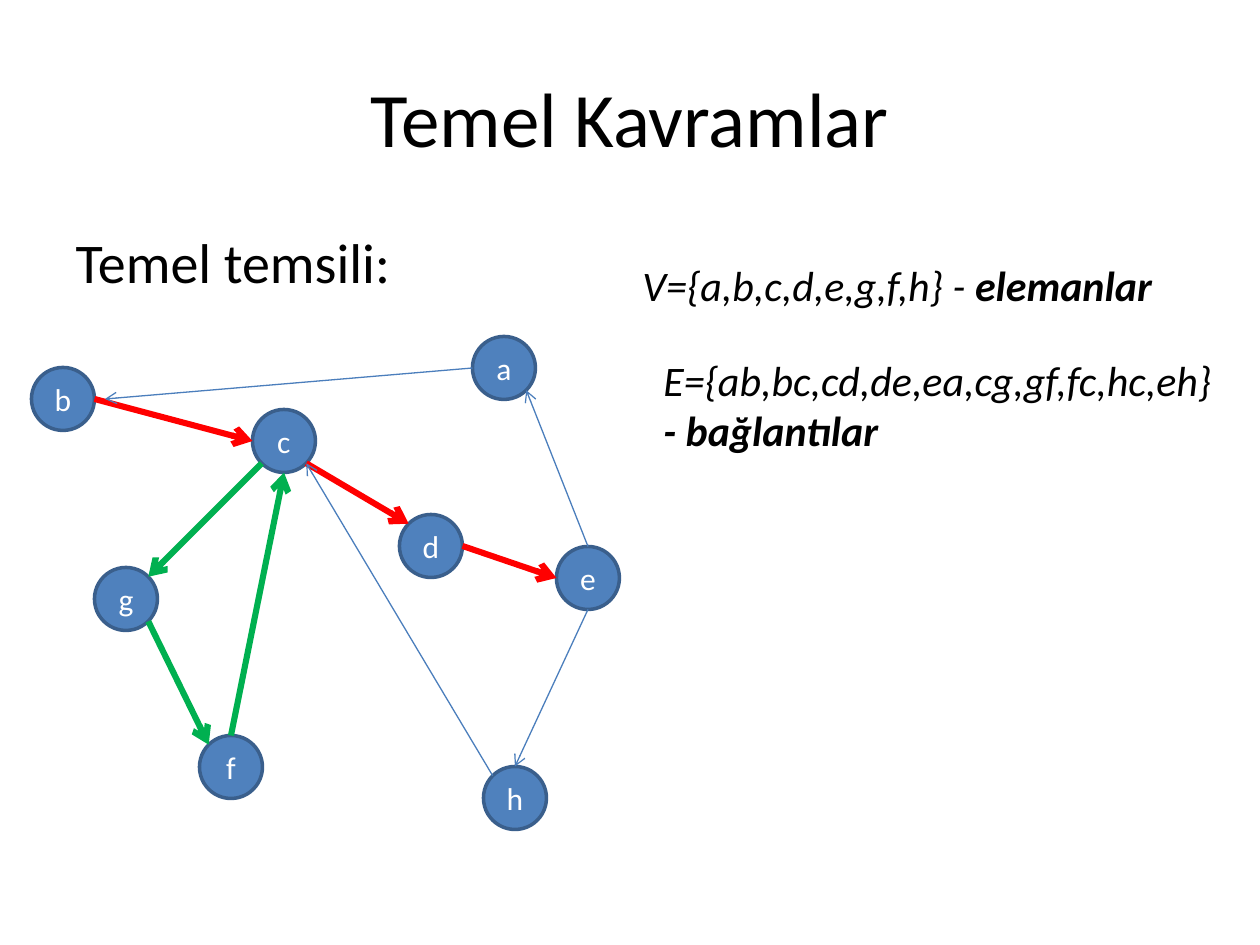
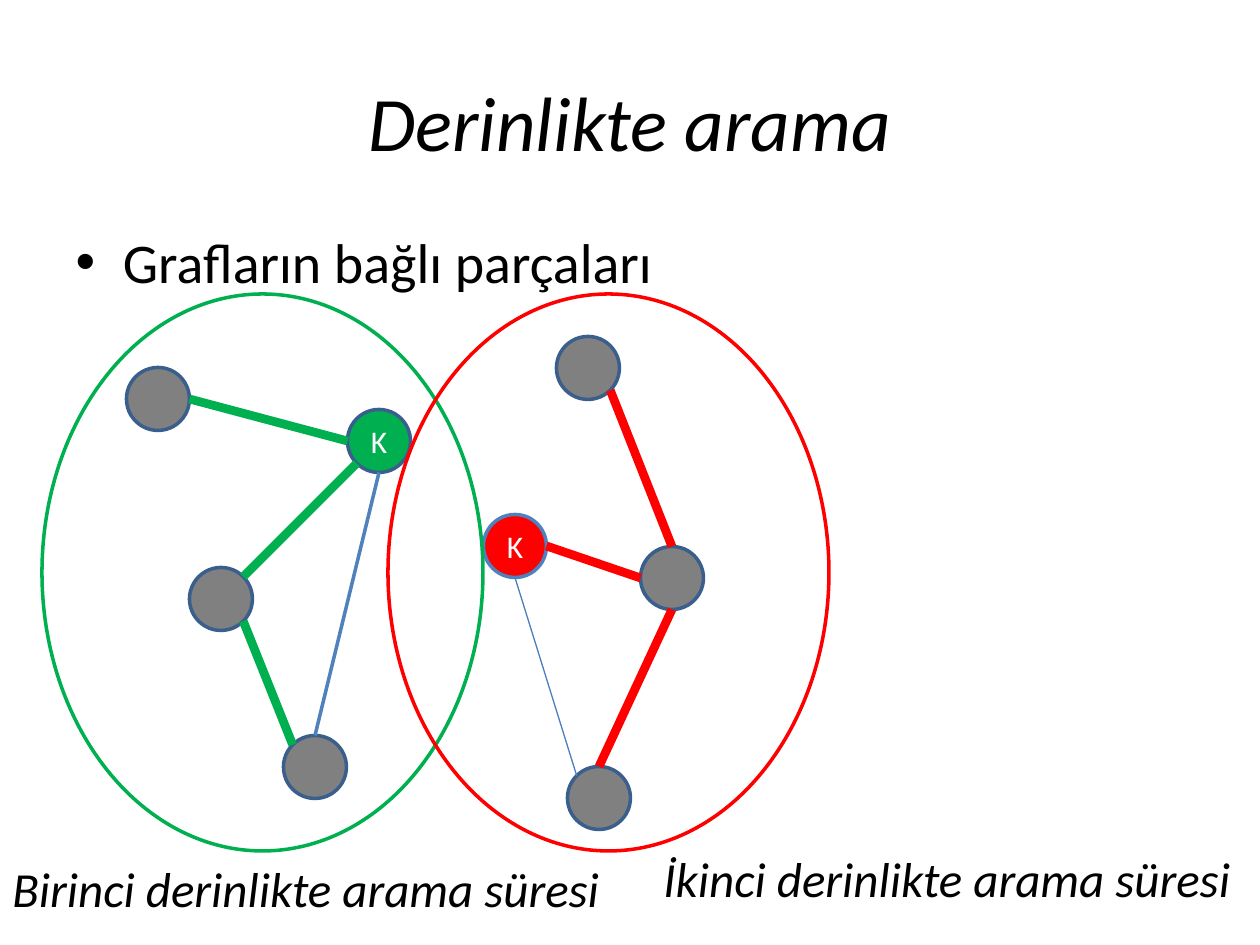
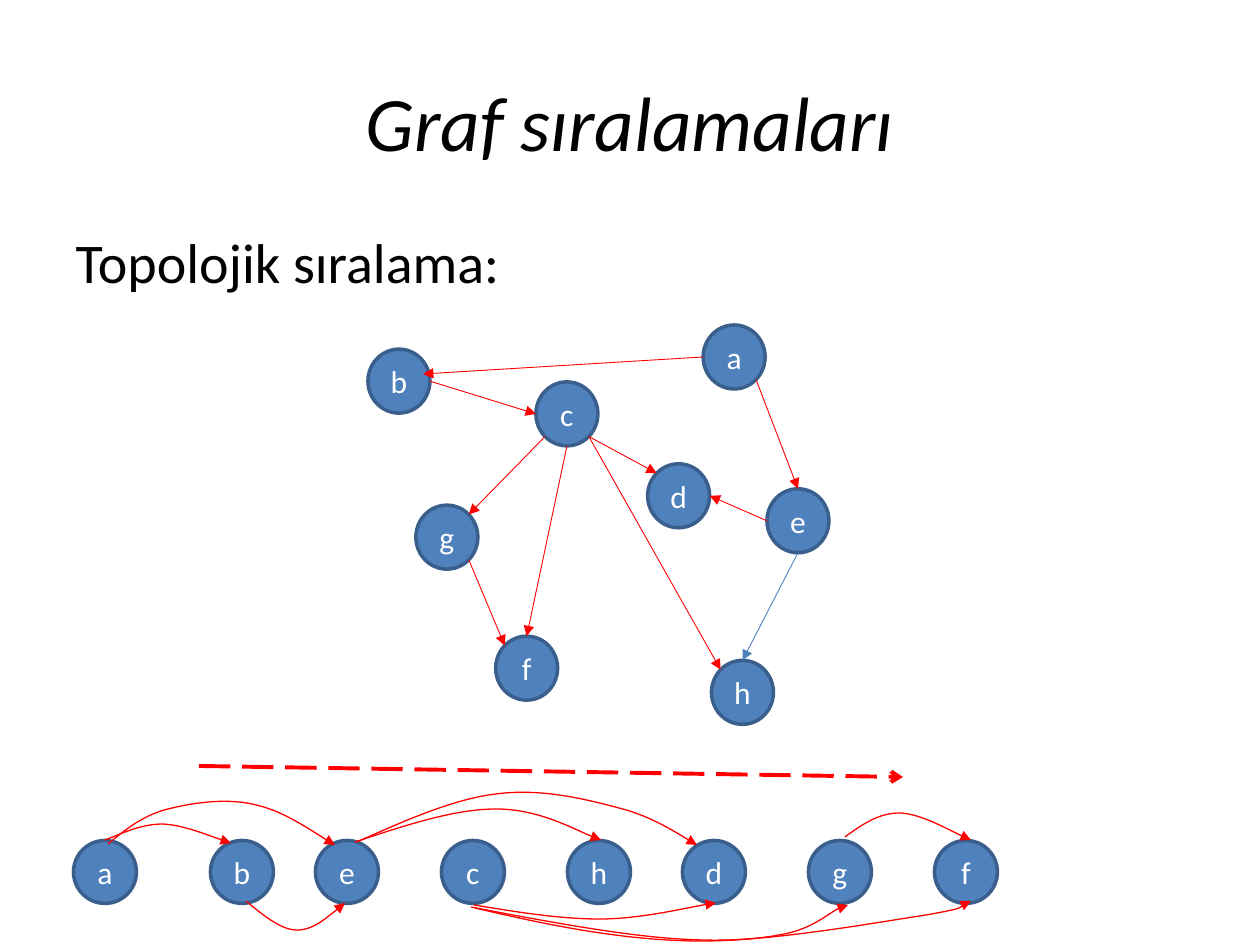
from math import sqrt

from lxml import etree
from pptx import Presentation
from pptx.dml.color import RGBColor
from pptx.enum.dml import MSO_LINE
from pptx.enum.shapes import MSO_CONNECTOR, MSO_SHAPE
from pptx.enum.text import MSO_ANCHOR, MSO_AUTO_SIZE, PP_ALIGN
from pptx.oxml.ns import qn
from pptx.util import Emu, Pt

EMU_PER_PX = 914400 / 126
FONT = "Calibri"
BLACK, WHITE, GRAY = "000000", "FFFFFF", "808080"
BLUE, RIM, THIN_BLUE = "4F81BD", "3A5F8C", "4B7EBC"
RED, GREEN = "FF0000", "00B050"
NODE_SIZE = (63, 63)

# Node centres of the graph that all three slides show
GRAPH = {
    "b": (63, 399), "c": (284, 441), "g": (126, 599), "d": (431, 546),
    "a": (504, 368), "e": (588, 578), "f": (231, 767), "h": (515, 798),
}
DIAGONAL = 1 / sqrt(2)
SITES = {
    "N": (0, -1), "E": (1, 0), "S": (0, 1), "W": (-1, 0),
    "NE": (DIAGONAL, -DIAGONAL), "SE": (DIAGONAL, DIAGONAL),
    "SW": (-DIAGONAL, DIAGONAL), "NW": (-DIAGONAL, -DIAGONAL),
}

# Edges: start, end, colour, width in points; an end is "node site" or a point
CONCEPT_EDGES = [
    ("b E", "c W", RED, 3.5),
    ("c SE", "d NW", RED, 3.5),
    ("c SW", "g NE", GREEN, 3.5),
    ("f N", "c S", GREEN, 3.5),
    ("g SE", "f NW", GREEN, 3.5),
    ("d E", "e W", RED, 3.5),
    ("e N", "a SE", THIN_BLUE, 0.75),
    ("e S", "h N", THIN_BLUE, 0.75),
    ("a W", (105, 399), THIN_BLUE, 0.75),
    ("h NW", "c SE", THIN_BLUE, 0.75),
]
SETS = [
    ((630, 253, 556, 63), False, "V={a,b,c,d,e,g,f,h} - ", "elemanlar"),
    ((651, 348, 577, 115), True, "E={ab,bc,cd,de,ea,cg,gf,fc,hc,eh} ", "- bağlantılar"),
]

SEARCH_STARTS = {"c": (GREEN, RIM), "d": (RED, BLUE)}
SEARCH_EDGES = [
    ("b E", "c W", GREEN, 5),
    ("c SW", "g NE", GREEN, 5),
    ("f N", "c S", BLUE, 0),
    ("g SE", "f NW", GREEN, 5),
    ("d E", "e W", RED, 5),
    ("e N", "a SE", RED, 5),
    ("e S", "h N", RED, 5),
    ("h NW", "d S", THIN_BLUE, 0.75),
]
SEARCH_CAPTIONS = [
    ("Birinci derinlikte arama süresi", (0, 852, 630, 72)),
    ("İkinci derinlikte arama süresi", (651, 842, 599, 72)),
]
COMPONENTS = [(42, GREEN), (388, RED)]

SORT_EDGES = [
    ("b E", "c W", RED, 0.5),
    ("c SE", "d NW", RED, 0.5),
    ("c SW", "g NE", RED, 0.5),
    ("c S", "f N", RED, 0.5),
    ("g SE", "f NW", RED, 0.5),
    ("e W", "d E", RED, 0.5),
    ("a SE", "e N", RED, 0.5),
    ("e S", "h N", BLUE, 0.5),
    ("a W", (423, 374), RED, 0.5),
    ("c SE", "h NW", RED, 0.5),
]
SORTED_ROW = [("a", 105), ("b", 242), ("e", 347), ("c", 473),
              ("h", 599), ("d", 714), ("g", 840), ("f", 966)]
SORTED_ROW_Y = 872
# Start point, then three points for each cubic curve
SORTED_ARCS = [
    [(105, 840), (123, 833), (141, 824), (163, 824), (183, 825), (218, 839), (231, 843)],
    [(108, 844), (126, 829), (144, 815), (168, 809), (192, 803), (224, 798), (252, 804),
     (281, 810), (307, 828), (335, 845)],
    [(246, 901), (263, 915), (281, 930), (297, 930), (314, 930), (345, 903), (345, 903)],
    [(355, 842), (406, 825), (455, 809), (496, 809), (538, 809), (585, 835), (601, 840)],
    [(357, 842), (406, 820), (454, 799), (496, 794), (541, 788), (585, 799), (619, 808),
     (651, 816), (697, 845), (697, 845)],
    [(474, 905), (517, 912), (559, 919), (600, 919), (640, 919), (698, 905), (716, 903)],
    [(471, 907), (538, 920), (604, 932), (655, 937), (706, 942), (747, 941), (779, 935),
     (811, 930), (838, 905), (848, 905)],
    [(475, 908), (548, 925), (620, 940), (696, 941), (770, 942), (879, 922), (926, 915),
     (971, 907), (971, 898), (971, 901)],
    [(845, 837), (863, 824), (879, 813), (900, 813), (921, 814), (958, 835), (971, 840)],
]


def px(*lengths):
    return [Emu(round(length * EMU_PER_PX)) for length in lengths]


def rgb(color):
    return RGBColor.from_string(color)


def style_font(paragraph, size, color=BLACK, italic=None):
    font = paragraph.font
    font.name, font.size, font.italic = FONT, Pt(size), italic
    font.color.rgb = rgb(color)


def style_line(shape, color, width, arrow=None):
    shape.line.color.rgb = rgb(color)
    shape.line.width = Pt(width)
    if arrow:
        etree.SubElement(shape.line._get_or_add_ln(), qn("a:tailEnd"), type=arrow)


def add_slide(deck, title, heading, title_top=42, italic=True, bullet=False):
    slide = deck.slides.add_slide(deck.slide_layouts[1])
    title_box, body = slide.placeholders
    title_box.left, title_box.top, title_box.width, title_box.height = px(63, title_top, 1134, 158)
    title_box.text_frame.text = title
    title_line = title_box.text_frame.paragraphs[0]
    title_line.alignment = PP_ALIGN.CENTER
    style_font(title_line, 44, italic=italic)

    body.left, body.top, body.width, body.height = px(63, 221, 1134, 624)
    body.text_frame.text = heading
    heading_line = body.text_frame.paragraphs[0]
    if not bullet:
        etree.SubElement(heading_line._p.get_or_add_pPr(), qn("a:buNone"))
    heading_line.space_before = Pt(0)
    style_font(heading_line, 32)
    return slide


def add_node(shapes, center, label="", fill=BLUE, rim=RIM, size=NODE_SIZE):
    (x, y), (width, height) = center, size
    node = shapes.add_shape(MSO_SHAPE.FLOWCHART_CONNECTOR,
                            *px(x - width / 2, y - height / 2, width, height))
    node.shadow.inherit = False
    node.fill.solid()
    node.fill.fore_color.rgb = rgb(fill)
    style_line(node, rim, 2)
    if label:
        node.text_frame.text = label
        node.text_frame.vertical_anchor = MSO_ANCHOR.MIDDLE
        letter = node.text_frame.paragraphs[0]
        letter.alignment = PP_ALIGN.CENTER
        style_font(letter, 18, WHITE)


def add_line(shapes, start, end, color, width, arrow=None, dash=None):
    line = shapes.add_connector(MSO_CONNECTOR.STRAIGHT, *px(*start, *end))
    if dash:
        line.line.dash_style = dash
    style_line(line, color, width, arrow)
    etree.SubElement(line._element.spPr, qn("a:effectLst"))


def add_edges(shapes, edges, centers, arrow=None, size=NODE_SIZE):
    def locate(end):
        if isinstance(end, tuple):
            return end
        name, site = end.split()
        return [middle + side * length / 2
                for middle, side, length in zip(centers[name], SITES[site], size)]

    for start, end, color, width in edges:
        add_line(shapes, locate(start), locate(end), color, width, arrow)


def add_text(slide, box, size, text, bold_text="", wrap=True):
    frame = slide.shapes.add_textbox(*px(*box)).text_frame
    frame.word_wrap = wrap
    frame.auto_size = MSO_AUTO_SIZE.SHAPE_TO_FIT_TEXT
    paragraph = frame.paragraphs[0]
    paragraph.add_run().text = text
    if bold_text:
        bold_run = paragraph.add_run()
        bold_run.text = bold_text
        bold_run.font.bold = True
    style_font(paragraph, size, italic=True)


def add_arc(slide, points):
    """Draw the points as a freeform, then turn each three segments into one cubic curve."""
    start, *rest = [px(*point) for point in points]
    builder = slide.shapes.build_freeform(*start)
    builder.add_line_segments(rest, close=False)
    arc = builder.convert_to_shape()
    arc.shadow.inherit = False
    arc.fill.background()
    style_line(arc, RED, 0.75, "triangle")
    outline = next(arc._element.iter(qn("a:path")))
    segments = outline.findall(qn("a:lnTo"))
    for first in range(0, len(segments), 3):
        curve = etree.SubElement(outline, qn("a:cubicBezTo"))
        for segment in segments[first:first + 3]:
            curve.append(segment[0])
            outline.remove(segment)


def build_concepts(deck):
    slide = add_slide(deck, "Temel Kavramlar", "Temel temsili:", title_top=38, italic=None)
    graph = slide.shapes.add_group_shape().shapes
    for name, center in GRAPH.items():
        add_node(graph, center, name)
    add_edges(graph, CONCEPT_EDGES, GRAPH, "arrow")
    for box, wrap, members, meaning in SETS:
        add_text(slide, box, 24, members, meaning, wrap)


def build_search(deck):
    slide = add_slide(deck, "Derinlikte arama", "Grafların bağlı parçaları", bullet=True)
    centers = {name: (x + (95 if name in "bcg" else 84), y) for name, (x, y) in GRAPH.items()}
    for name, center in centers.items():
        fill, rim = SEARCH_STARTS.get(name, (GRAY, RIM))
        add_node(slide.shapes, center, "K" if name in SEARCH_STARTS else "", fill, rim)
    add_edges(slide.shapes, SEARCH_EDGES, centers)
    for caption, box in SEARCH_CAPTIONS:
        add_text(slide, box, 28, caption)
    for left, color in COMPONENTS:
        component = slide.shapes.add_shape(MSO_SHAPE.OVAL, *px(left, 294, 441, 557))
        component.shadow.inherit = False
        component.fill.background()
        style_line(component, color, 2)


def build_sorting(deck):
    slide = add_slide(deck, "Graf sıralamaları", "Topolojik sıralama:")
    size = (62, 64)
    centers = {name: (399 + (x - 63) * 0.76, 357 + (y - 368) * 0.78)
               for name, (x, y) in GRAPH.items()}
    graph = slide.shapes.add_group_shape().shapes
    for name, center in centers.items():
        add_node(graph, center, name, size=size)
    add_edges(graph, SORT_EDGES, centers, "triangle", size)
    add_line(slide.shapes, (199, 766), (903, 777), RED, 2.25, "arrow", MSO_LINE.LONG_DASH)
    for name, x in SORTED_ROW:
        add_node(slide.shapes, (x, SORTED_ROW_Y), name)
    for points in SORTED_ARCS:
        add_arc(slide, points)


def main():
    deck = Presentation()
    deck.slide_width, deck.slide_height = px(1260, 945)
    build_concepts(deck)
    build_search(deck)
    build_sorting(deck)
    deck.save("out.pptx")


if __name__ == "__main__":
    main()
